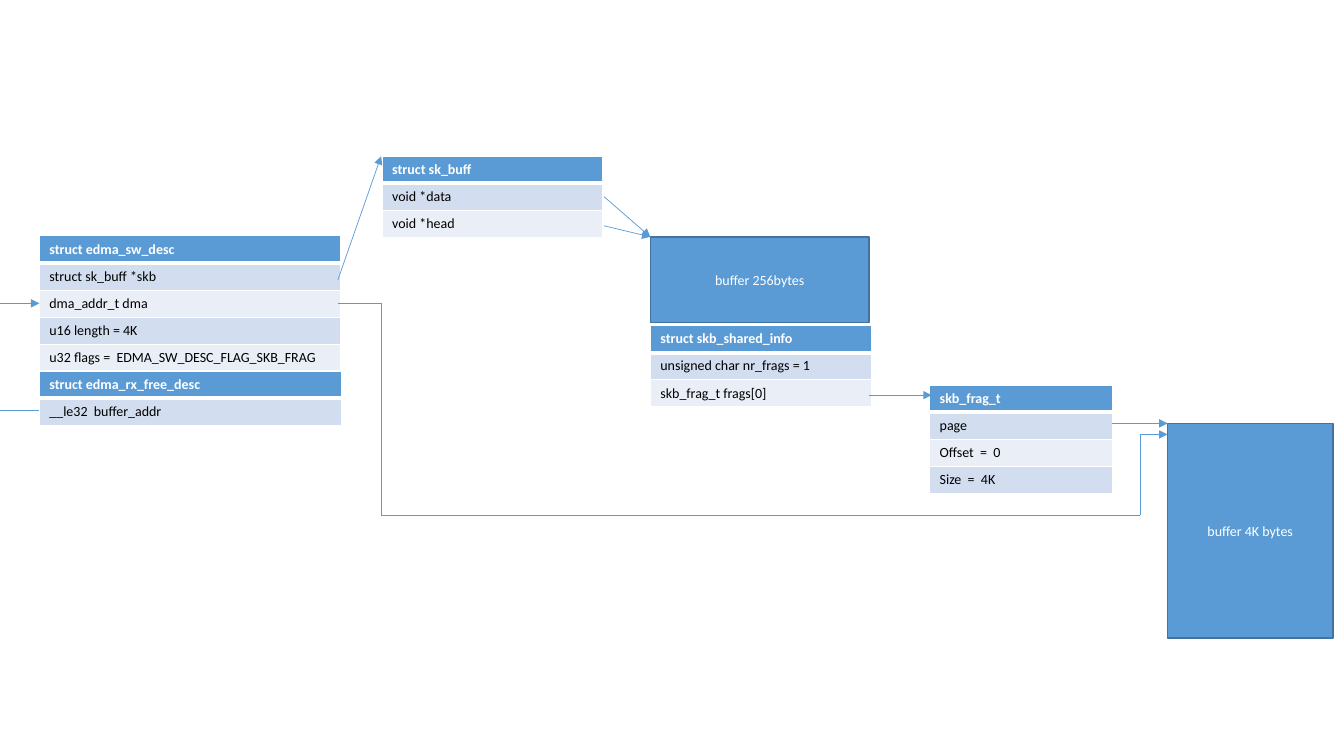
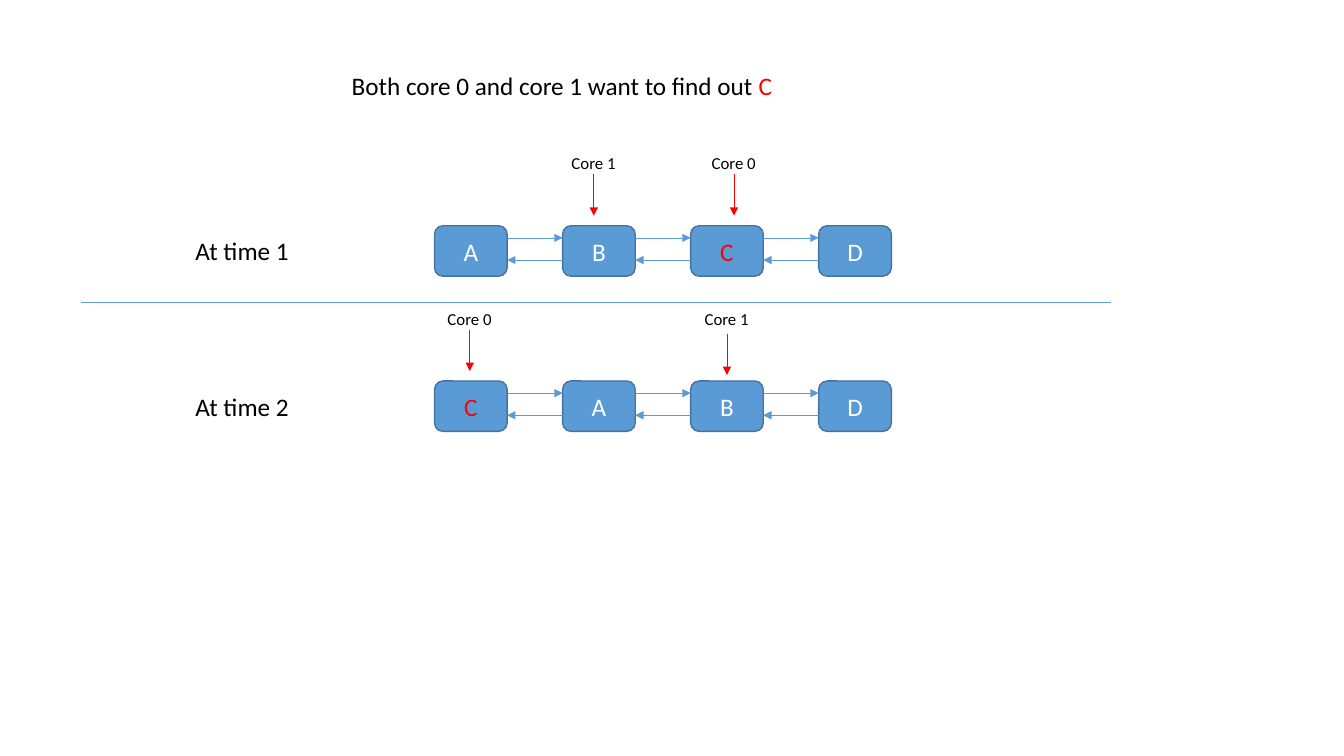
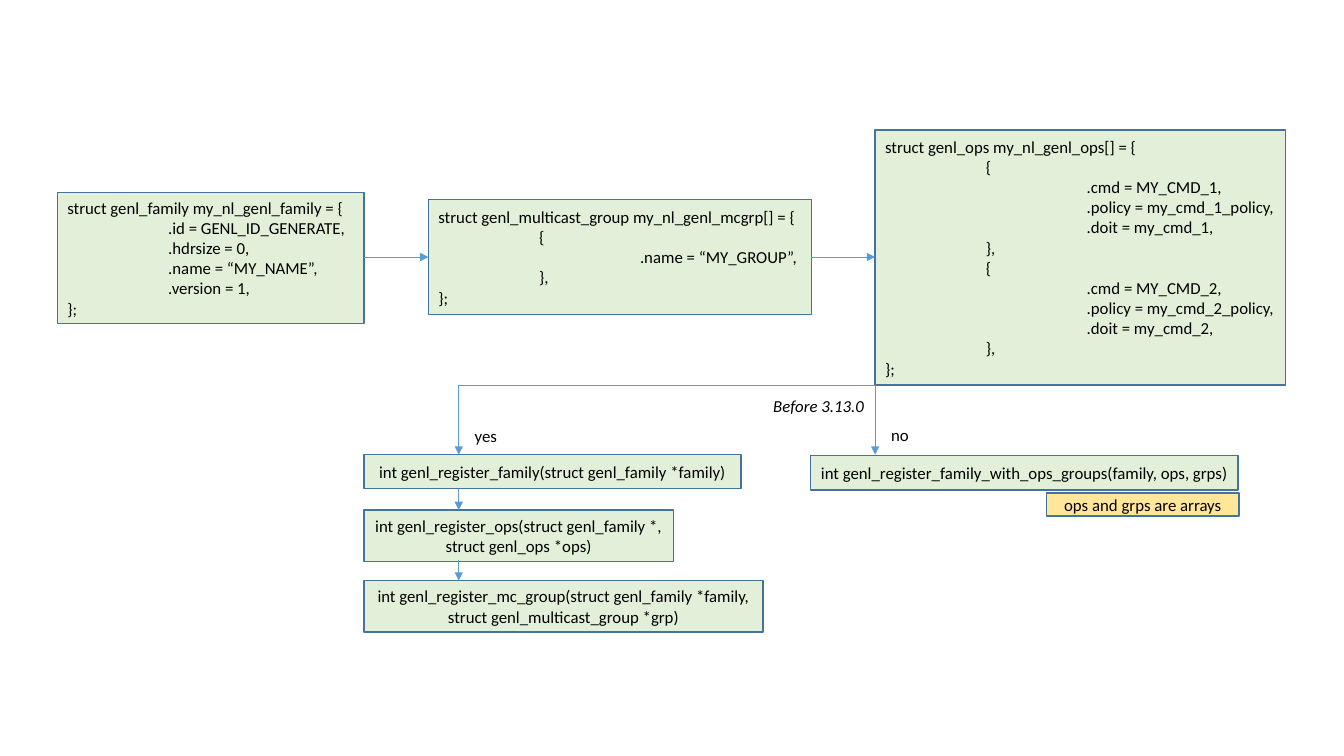
from lxml import etree
from pptx import Presentation
from pptx.dml.color import RGBColor
from pptx.enum.shapes import MSO_CONNECTOR, MSO_SHAPE
from pptx.enum.text import MSO_ANCHOR, PP_ALIGN
from pptx.oxml.ns import qn
from pptx.util import Inches, Pt

RECT = MSO_SHAPE.RECTANGLE
ROUNDED = MSO_SHAPE.ROUNDED_RECTANGLE
STRAIGHT = MSO_CONNECTOR.STRAIGHT
MIDDLE = MSO_ANCHOR.MIDDLE
LEFT, CENTER = PP_ALIGN.LEFT, PP_ALIGN.CENTER

BLUE = RGBColor(0x5B, 0x9B, 0xD5)
OUTLINE = RGBColor(0x43, 0x73, 0x9E)
BAND_DARK = RGBColor(0xD2, 0xDE, 0xEF)
BAND_LIGHT = RGBColor(0xEA, 0xEF, 0xF7)
GREEN = RGBColor(0xE2, 0xF0, 0xD9)
YELLOW = RGBColor(0xFF, 0xE6, 0x99)
RED = RGBColor(0xFF, 0, 0)
WHITE = RGBColor(0xFF, 0xFF, 0xFF)
BLACK = RGBColor(0, 0, 0)

FONT = "Calibri"
SMALL, BODY, LARGE = 10, 12, 18
ROW_HEIGHT = 0.8 / 3

STRUCTS = [
    (0.39, 2.34, 2.99, ["struct edma_sw_desc", "struct sk_buff *skb", "dma_addr_t dma",
                        "u16 length = 4K", "u32 flags =  EDMA_SW_DESC_FLAG_SKB_FRAG"]),
    (0.39, 3.68, 3, ["struct edma_rx_free_desc", "__le32  buffer_addr"]),
    (3.79, 1.55, 2.19, ["struct sk_buff", "void *data", "void *head"]),
    (6.45, 3.23, 2.19, ["struct skb_shared_info", "unsigned char nr_frags = 1",
                        "skb_frag_t frags[0]"]),
    (9.22, 3.82, 1.82, ["skb_frag_t", "page", "Offset  =  0", "Size  =  4K"]),
]
BUFFERS = [
    (6.45, 2.35, 2.17, 0.85, "buffer 256bytes"),
    (11.58, 4.2, 1.64, 2.13, "buffer 4K bytes"),
]
POINTERS = [
    [(5.99, 1.95), (6.45, 2.35)],
    [(5.99, 2.24), (6.45, 2.35)],
    [(3.35, 2.78), (3.78, 1.55)],
    [(0, 3.01), (0.39, 3.01)],
    [(11.03, 4.2), (11.58, 4.2)],
    [(8.62, 3.92), (9.24, 3.92)],
    [(3.35, 3.01), (3.78, 3.01), (3.78, 5.11), (11.31, 5.11), (11.31, 4.31), (11.58, 4.31)],
]
BUFFER_ADDR_LINE = [(0, 4.07), (0.39, 4.07)]

TARGET = "C"
QUESTION = "Both core 0 and core 1 want to find out "
NODE_LEFT, NODE_PITCH, NODE_WIDTH, NODE_HEIGHT = 4.31, 1.27, 0.72, 0.5
MOMENTS = [
    ("At time 1", 2.24, "ABCD", [("Core 1", 5.89, 0.51), ("Core 0", 7.28, 0.51)]),
    ("At time 2", 3.78, "CABD", [("Core 0", 4.66, 0.51), ("Core 1", 7.21, 0.47)]),
]
DIVIDER = [(0.8, 3), (11.02, 3)]

CODE = [
    (0.57, 1.91, 3.04, 1.3, """struct genl_family my_nl_genl_family = {
\t.id = GENL_ID_GENERATE,
\t.hdrsize = 0,
\t.name = “MY_NAME”,
\t.version = 1,
};"""),
    (4.25, 1.98, 3.8, 1.14, """struct genl_multicast_group my_nl_genl_mcgrp[] = {
\t{
\t\t.name = “MY_GROUP”,
\t},
};"""),
    (8.68, 1.29, 4.07, 2.53, """struct genl_ops my_nl_genl_ops[] = {
\t{
\t\t.cmd = MY_CMD_1,
\t\t.policy = my_cmd_1_policy,
\t\t.doit = my_cmd_1,
\t},
\t{
\t\t.cmd = MY_CMD_2,
\t\t.policy = my_cmd_2_policy,
\t\t.doit = my_cmd_2,
\t},
};"""),
]
CALLS = [
    (3.61, 4.51, 3.74, 0.34, GREEN, "int genl_register_family(struct genl_family *family)"),
    (3.61, 5.06, 3.07, 0.51, GREEN,
     "int genl_register_ops(struct genl_family *, struct genl_ops *ops)"),
    (3.61, 5.76, 3.96, 0.51, GREEN,
     "int genl_register_mc_group(struct genl_family *family, struct genl_multicast_group *grp)"),
    (8.04, 4.52, 4.24, 0.34, GREEN,
     "int genl_register_family_with_ops_groups(family, ops, grps)"),
    (10.38, 4.89, 1.91, 0.23, YELLOW, "ops and grps are arrays"),
]
FLOWS = [
    [(3.61, 2.55), (4.25, 2.55)],
    [(8.04, 2.55), (8.68, 2.55)],
    [(8.68, 3.82), (4.55, 3.82), (4.55, 4.51)],
    [(8.68, 3.82), (8.68, 4.51)],
    [(4.55, 4.85), (4.55, 5.06)],
    [(4.55, 5.56), (4.55, 5.76)],
]
BRANCHES = [
    (7.57, 3.88, 1.12, "Before 3.13.0", True),
    (4.61, 4.17, 0.43, "yes", False),
    (8.74, 4.16, 0.38, "no", False),
]


def write(paragraph, text, size, color, bold=False, italic=False):
    run = paragraph.add_run()
    run.text = text
    font = run.font
    font.name, font.size, font.bold, font.italic = FONT, Pt(size), bold, italic
    font.color.rgb = color


def add_box(slide, left, top, width, height, fill, preset=RECT):
    box = slide.shapes.add_shape(preset, *map(Inches, (left, top, width, height)))
    box.shadow.inherit = False
    box.fill.solid()
    box.fill.fore_color.rgb = fill
    box.line.color.rgb = OUTLINE
    box.line.width = Pt(1)
    frame = box.text_frame
    frame.word_wrap = True
    frame.vertical_anchor = MIDDLE
    frame.paragraphs[0].alignment = CENTER
    return frame


def add_label(slide, left, top, width, height, text, size, italic=False):
    frame = slide.shapes.add_textbox(*map(Inches, (left, top, width, height))).text_frame
    frame.word_wrap = False
    write(frame.paragraphs[0], text, size, BLACK, italic=italic)
    return frame.paragraphs[0]


def add_route(slide, points, color=BLUE, arrow=True):
    for start, end in zip(points, points[1:]):
        line = slide.shapes.add_connector(STRAIGHT, *map(Inches, start + end))
        line.line.color.rgb = color
        line.line.width = Pt(0.5)
        if arrow and end == points[-1]:
            etree.SubElement(line.line._get_or_add_ln(), qn("a:tailEnd"), type="triangle")
        etree.SubElement(line._element.spPr, qn("a:effectLst"))


def add_borders(cell, header):
    properties = cell._tc.get_or_add_tcPr()
    for place, side in enumerate("LRTB" if header else "LRB"):
        weight = 3 if header and side == "B" else 1
        border = etree.Element(qn("a:ln" + side), w=str(Pt(weight)))
        fill = etree.SubElement(border, qn("a:solidFill"))
        etree.SubElement(fill, qn("a:srgbClr"), val=str(WHITE))
        properties.insert(place, border)


def add_struct(slide, left, top, width, fields):
    table = slide.shapes.add_table(
        len(fields), 1, *map(Inches, (left, top, width, ROW_HEIGHT * len(fields)))).table
    for index, field in enumerate(fields):
        header = index == 0
        cell = table.cell(index, 0)
        cell.fill.solid()
        cell.fill.fore_color.rgb = BLUE if header else (BAND_LIGHT, BAND_DARK)[index % 2]
        add_borders(cell, header)
        write(cell.text_frame.paragraphs[0], field, SMALL, WHITE if header else BLACK, header)


def add_code(slide, left, top, width, height, code):
    frame = add_box(slide, left, top, width, height, GREEN)
    frame.margin_right = 0
    for index, line in enumerate(code.split("\n")):
        paragraph = frame.add_paragraph() if index else frame.paragraphs[0]
        paragraph.alignment = LEFT
        statement = line.lstrip("\t")
        depth = len(line) - len(statement)
        paragraph._p.get_or_add_pPr().set("marL", str(Inches(depth)))
        write(paragraph, statement, BODY, BLACK)


def build_buffers(slide):
    for struct in STRUCTS:
        add_struct(slide, *struct)
    for *place, name in BUFFERS:
        write(add_box(slide, *place, BLUE).paragraphs[0], name, SMALL, WHITE)
    for points in POINTERS:
        add_route(slide, points)
    add_route(slide, BUFFER_ADDR_LINE, arrow=False)


def build_list_race(slide):
    question = add_label(slide, 3.39, 0.65, 4.42, 0.4, QUESTION, LARGE)
    write(question, TARGET, LARGE, RED)
    add_route(slide, DIVIDER, arrow=False)
    for moment, top, nodes, cores in MOMENTS:
        add_label(slide, 1.84, top + 0.05, 1.14, 0.4, moment, LARGE)
        for index, node in enumerate(nodes):
            left = NODE_LEFT + index * NODE_PITCH
            frame = add_box(slide, left, top, NODE_WIDTH, NODE_HEIGHT, BLUE, ROUNDED)
            write(frame.paragraphs[0], node, LARGE, RED if node == TARGET else WHITE)
            if index:
                previous = left - NODE_PITCH + NODE_WIDTH
                add_route(slide, [(previous, top + 0.12), (left, top + 0.12)])
                add_route(slide, [(left, top + 0.34), (previous, top + 0.34)])
        for core, x, rise in cores:
            add_label(slide, x - 0.32, top - 0.77, 0.64, 0.3, core, BODY)
            add_route(slide, [(x, top - rise), (x, top - rise + 0.41)], RED)


def build_registration(slide):
    for block in CODE:
        add_code(slide, *block)
    for *place, fill, call in CALLS:
        write(add_box(slide, *place, fill).paragraphs[0], call, BODY, BLACK)
    for points in FLOWS:
        add_route(slide, points)
    for left, top, width, text, italic in BRANCHES:
        add_label(slide, left, top, width, 0.3, text, BODY, italic)


def main():
    deck = Presentation()
    deck.slide_width, deck.slide_height = Inches(13.33), Inches(7.5)
    for build in (build_buffers, build_list_race, build_registration):
        build(deck.slides.add_slide(deck.slide_layouts[6]))
    deck.save("out.pptx")


if __name__ == "__main__":
    main()
